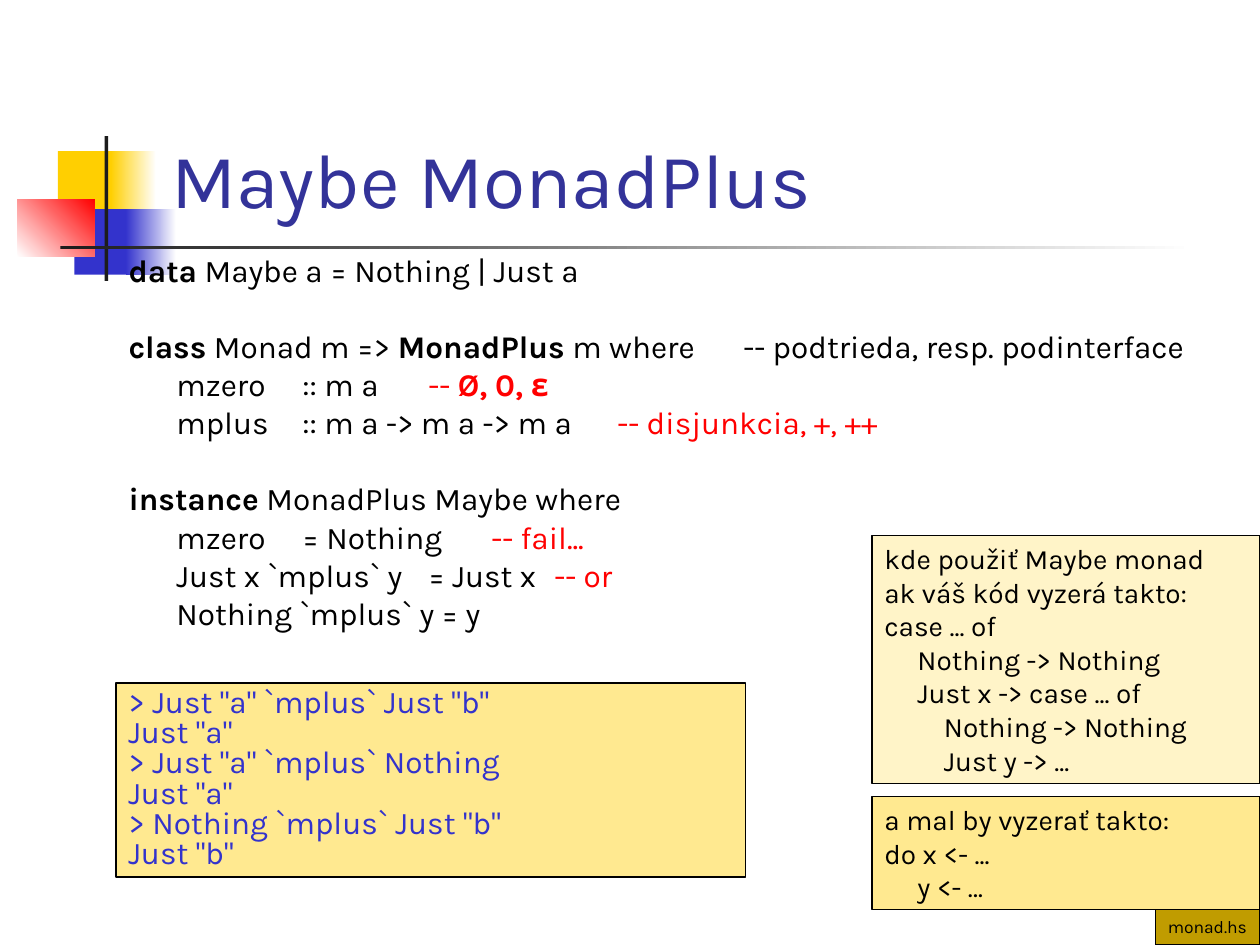
from pptx import Presentation
from pptx import util as u
from pptx.dml.color import RGBColor
from pptx.enum import shapes, text
from pptx.oxml.ns import qn
from lxml import etree

Inches, Pt = u.Inches, u.Pt
FONT = "Karla"
C = {
    "yellow": "FFCF01", "blue": "3333CC", "red": "FF0000", "white": "FFFFFF",
    "dark": "1C1C1C", "black": "000000", "title": "333399",
    "gold": "C09C00", "sand": "FFE990", "cream": "FFF4C8",
}


def add_run(p, words, size, color="black", bold=False):
    r = p.add_run()
    r.text = words
    r.font.name, r.font.size, r.font.bold = FONT, Pt(size), bold
    r.font.color.rgb = RGBColor.from_string(C[color])


def add_rect(box, start, end=None, angle=0):
    """Add a plain rectangle, with a gradient when an end colour is given."""
    sp = s.shapes.add_shape(shapes.MSO_SHAPE.RECTANGLE, *map(Inches, box))
    sp.shadow.inherit = False
    sp.line.fill.background()
    if end:
        sp.fill.gradient()
        sp.fill.gradient_angle = angle
        for stop, name in zip(sp.fill.gradient_stops, (start, end)):
            stop.color.rgb = RGBColor.from_string(C[name])
    else:
        sp.fill.solid()
        sp.fill.fore_color.rgb = RGBColor.from_string(C[start])
    return sp


prs = Presentation()
prs.slide_width, prs.slide_height = Inches(10), Inches(7.5)
s = prs.slides.add_slide(prs.slide_layouts[1])
title, body = s.placeholders

# Coloured squares and rules around the title
add_rect((0.46, 1.2, 0.48, 0.52), "yellow")
add_rect((0.88, 1.2, 0.36, 0.52), "yellow", "white")
add_rect((0.59, 1.66, 0.46, 0.52), "blue")
add_rect((1, 1.66, 0.4, 0.52), "blue", "white")
add_rect((0.14, 1.58, 0.61, 0.46), "white", "red", 45)
add_rect((0.83, 1.08, 0.03, 1.15), "dark")
add_rect((0.48, 1.95, 9, 0.03), "dark", "white")

# Title and body stand in front of the squares
for ph, box in ((title, (1.26, 0.23, 8.52, 1.6)), (body, (0.92, 2, 9.08, 5.5))):
    s.shapes.element.append(ph.element)
    ph.left, ph.top, ph.width, ph.height = map(Inches, box)
    ph.text_frame.auto_size = text.MSO_AUTO_SIZE.NONE

title.text_frame.vertical_anchor = text.MSO_ANCHOR.BOTTOM
p = title.text_frame.paragraphs[0]
p.alignment = text.PP_ALIGN.LEFT
add_run(p, "Maybe MonadPlus", 44, "title")

# Each line: space before, tab stops, runs of (words, colour, bold)
LINE, GROUP = 4.5, 26.2
code = [
    (0, (), [("data", "black", True), (" Maybe a = Nothing | Just a",)]),
    (GROUP, (4.41,), [("class", "black", True), (" Monad m => ",),
                      ("MonadPlus", "black", True),
                      (" m where\t-- podtrieda, resp. podinterface",)]),
    (LINE, (0, 1, 4.06), [("\tmzero\t:: m a\t",), ("-- ", "red"),
                          ("Ø, 0, ε", "red", True)]),
    (LINE, (0, 1.02, 5.06), [("\tmplus\t:: m a -> m a -> m a\t",),
                             ("-- disjunkcia, +, ++", "red")]),
    (GROUP, (), [("instance", "black", True), (" MonadPlus Maybe where",)]),
    (LINE, (0, 1.42, 4), [("\tmzero\t= Nothing\t",), ("-- fail...", "red")]),
    (LINE, (0, 2.03, 4), [("\tJust x `mplus` y\t= Just x\t",), ("-- or", "red")]),
    (LINE, (0,), [("\tNothing `mplus` y = y",)]),
]
tf = body.text_frame
for i, (before, stops, runs) in enumerate(code):
    p = tf.add_paragraph() if i else tf.paragraphs[0]
    pPr = p._p.get_or_add_pPr()
    pPr.set("marL", str(Inches(0.38)))
    pPr.set("indent", str(Inches(-0.38)))
    etree.SubElement(pPr, qn("a:buNone"))
    if stops:
        tabs = etree.SubElement(pPr, qn("a:tabLst"))
        for stop in stops:
            etree.SubElement(tabs, qn("a:tab"), pos=str(Inches(stop)), algn="l")
    p.line_spacing, p.space_before = 0.8, Pt(before)
    for run in runs:
        add_run(p, run[0], 18, *run[1:])

# Framed boxes: place, fill, text size, text colour, line spacing, lines
boxes = [
    ((9.17, 7.22, 0.83, 0.28), "gold", 10, "black", 1, ["monad.hs"]),
    ((0.92, 5.42, 5, 1.54), "sand", 18, "blue", 0.8, [
        '> Just "a" `mplus` Just "b"', 'Just "a"',
        '> Just "a" `mplus` Nothing', 'Just "a"',
        '> Nothing `mplus` Just "b"', 'Just "b"']),
    ((6.92, 4.25, 3.08, 1.97), "cream", 16, "black", 1, [
        "kde použiť Maybe monad\nak váš kód vyzerá takto:",
        "case ... of",
        "     Nothing -> Nothing",
        "     Just x -> case ... of",
        "         Nothing -> Nothing",
        "         Just y -> ..."]),
    ((6.92, 6.32, 3.08, 0.9), "sand", 16, "black", 1, [
        "a mal by vyzerať takto:", "do x <- ...", "     y <- …"]),
]
for box, fill, size, color, spacing, lines in boxes:
    sp = add_rect(box, fill)
    sp.line.color.rgb = RGBColor.from_string(C["black"])
    sp.line.width = Pt(0.75)
    tf = sp.text_frame
    tf.word_wrap = True
    tf.vertical_anchor = text.MSO_ANCHOR.TOP
    for i, line in enumerate(lines):
        p = tf.add_paragraph() if i else tf.paragraphs[0]
        p.alignment = text.PP_ALIGN.LEFT
        p.line_spacing = spacing
        for j, part in enumerate(line.split("\n")):
            if j:
                p.add_line_break()
            add_run(p, part, size, color)

prs.save("out.pptx")
